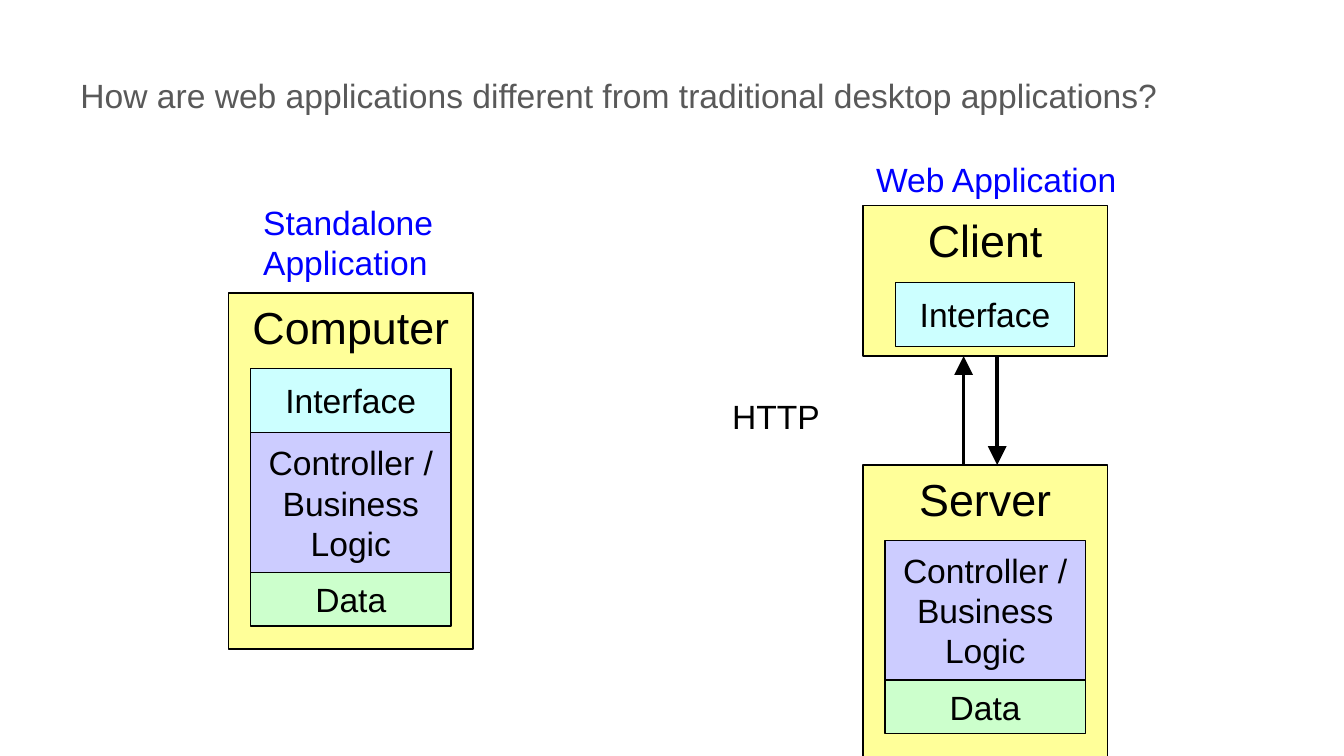
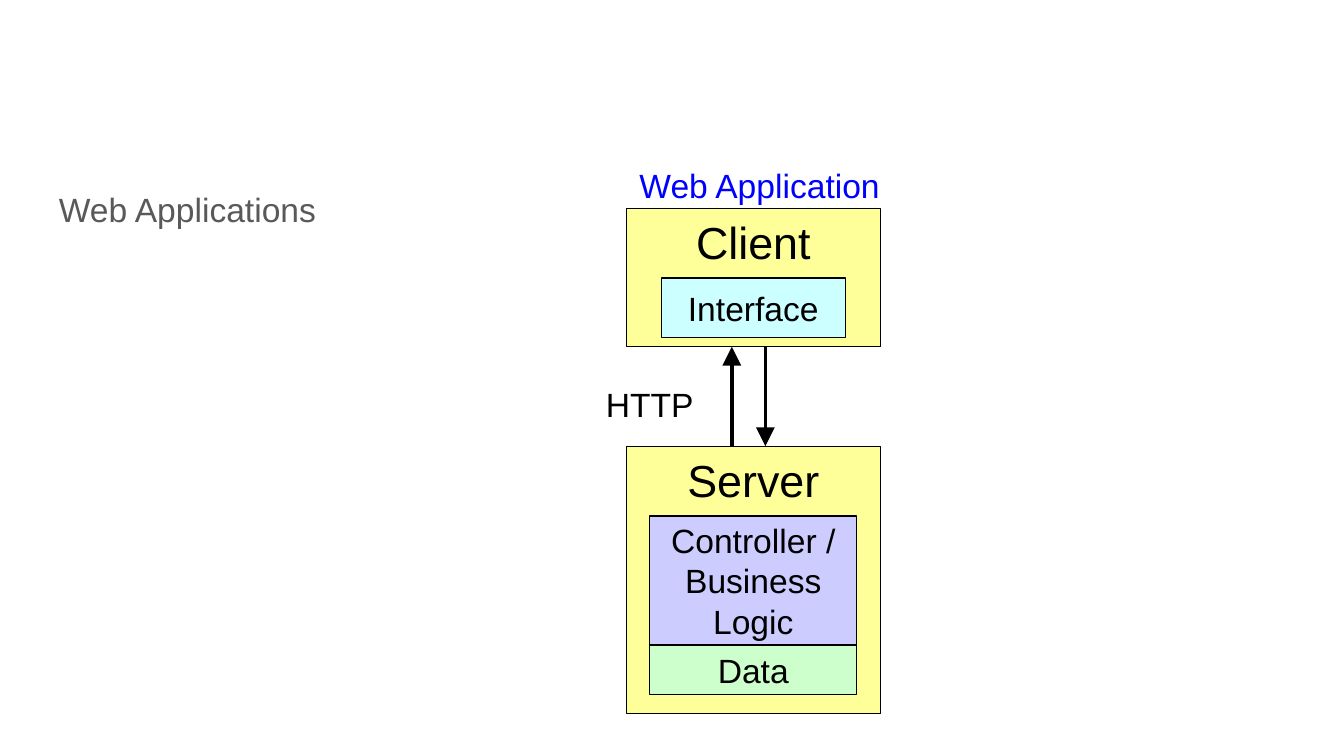
from dataclasses import dataclass

from lxml import etree
from pptx import Presentation
from pptx.dml.color import RGBColor
from pptx.enum import shapes, text
from pptx.oxml import ns
from pptx.slide import Slide
from pptx.text.text import TextFrame
from pptx.util import Inches, Pt

BLACK = RGBColor(0x00, 0x00, 0x00)
BLUE = RGBColor(0x00, 0x00, 0xFF)
GREY = RGBColor(0x59, 0x59, 0x59)
YELLOW = RGBColor(0xFF, 0xFF, 0x99)
CYAN = RGBColor(0xCC, 0xFF, 0xFF)
VIOLET = RGBColor(0xCC, 0xCC, 0xFF)
GREEN = RGBColor(0xCC, 0xFF, 0xCC)
FONT = "Arial"
REQUEST_OFFSET = -0.16
RESPONSE_OFFSET = 0.09


@dataclass(frozen=True)
class Box:
    left: float
    top: float
    width: float
    height: float

    @property
    def center(self) -> float:
        return self.left + self.width / 2

    @property
    def bottom(self) -> float:
        return self.top + self.height

    def lengths(self) -> list[int]:
        return [Inches(n) for n in (self.left, self.top, self.width, self.height)]


@dataclass(frozen=True)
class Layer:
    label: str
    fill: RGBColor
    height: float


@dataclass(frozen=True)
class Machine:
    title: str
    box: Box
    title_height: float
    layer_width: float
    layers: tuple[Layer, ...]


@dataclass(frozen=True)
class Label:
    wording: str
    box: Box
    color: RGBColor = BLACK
    inset: float = 0.05
    anchor: text.MSO_ANCHOR = text.MSO_ANCHOR.TOP
    line_spacing: float = 1.0


@dataclass(frozen=True)
class WebApplication:
    caption: Label
    protocol: Label
    client: Machine
    server: Machine


def interface(height: float) -> Layer:
    return Layer("Interface", CYAN, height)


def logic(height: float) -> Layer:
    return Layer("Controller / Business Logic", VIOLET, height)


def data(height: float) -> Layer:
    return Layer("Data", GREEN, height)


def write(frame: TextFrame, wording: str, size: int, color: RGBColor,
          align: text.PP_ALIGN, anchor: text.MSO_ANCHOR,
          inset: float = 0.05, line_spacing: float = 1.0) -> None:
    frame.word_wrap = True
    frame.vertical_anchor = anchor
    frame.margin_left = frame.margin_right = Inches(0.1)
    frame.margin_top = frame.margin_bottom = Inches(inset)
    frame.text = wording
    for paragraph in frame.paragraphs:
        paragraph.alignment = align
        paragraph.line_spacing = line_spacing
        paragraph.font.name = FONT
        paragraph.font.size = Pt(size)
        paragraph.font.color.rgb = color


def draw_label(slide: Slide, label: Label) -> None:
    frame = slide.shapes.add_textbox(*label.box.lengths()).text_frame
    write(frame, label.wording, 18, label.color, text.PP_ALIGN.LEFT,
          label.anchor, label.inset, label.line_spacing)


def draw_block(slide: Slide, box: Box, wording: str, fill: RGBColor,
               size: int, anchor: text.MSO_ANCHOR) -> None:
    block = slide.shapes.add_shape(shapes.MSO_SHAPE.RECTANGLE, *box.lengths())
    block.shadow.inherit = False
    block.fill.solid()
    block.fill.fore_color.rgb = fill
    block.line.color.rgb = BLACK
    block.line.width = Pt(0.75)
    write(block.text_frame, wording, size, BLACK, text.PP_ALIGN.CENTER, anchor)


def draw_machine(slide: Slide, machine: Machine) -> None:
    draw_block(slide, machine.box, machine.title, YELLOW, 24, text.MSO_ANCHOR.TOP)
    left = machine.box.center - machine.layer_width / 2
    top = machine.box.top + machine.title_height
    for layer in machine.layers:
        box = Box(left, top, machine.layer_width, layer.height)
        draw_block(slide, box, layer.label, layer.fill, 18, text.MSO_ANCHOR.MIDDLE)
        top += layer.height


def draw_arrow(slide: Slide, x: float, start: float, end: float) -> None:
    arrow = slide.shapes.add_connector(
        shapes.MSO_CONNECTOR.STRAIGHT, Inches(x), Inches(start), Inches(x), Inches(end))
    arrow.line.color.rgb = BLACK
    arrow.line.width = Pt(2)
    properties = arrow._element.spPr
    etree.SubElement(properties.find(ns.qn("a:ln")), ns.qn("a:tailEnd"),
                     type="triangle", w="lg", len="lg")
    etree.SubElement(properties, ns.qn("a:effectLst"))


def draw_web_application(slide: Slide, web: WebApplication) -> None:
    draw_machine(slide, web.server)
    draw_machine(slide, web.client)
    client, server = web.client.box, web.server.box
    draw_arrow(slide, client.center + REQUEST_OFFSET, server.top, client.bottom)
    draw_arrow(slide, client.center + RESPONSE_OFFSET, client.bottom, server.top)
    draw_label(slide, web.protocol)
    draw_label(slide, web.caption)


COMPARISON_TITLE = Label(
    "How are web applications different from traditional desktop applications?",
    Box(0.5, 0.46, 9.75, 0.5), GREY, 0.1, text.MSO_ANCHOR.MIDDLE)
STANDALONE_CAPTION = Label("Standalone\nApplication", Box(1.86, 1.45, 1.53, 0.71), BLUE)
COMPUTER = Machine("Computer", Box(1.7, 2.18, 1.82, 2.65), 0.56, 1.49,
                   (interface(0.48), logic(1.04), data(0.4)))
COMPARED_WEB = WebApplication(
    Label("Web Application", Box(6.42, 1.13, 2.16, 0.4), BLUE),
    Label("HTTP", Box(5.35, 2.9, 1.67, 0.4)),
    Machine("Client", Box(6.42, 1.53, 1.82, 1.12), 0.57, 1.33, (interface(0.48),)),
    Machine("Server", Box(6.42, 3.46, 1.82, 2.17), 0.56, 1.49, (logic(1.04), data(0.4))))

WEB_TITLE = Label("Web Applications", Box(0.34, 1.26, 9.32, 3.74), GREY, 0.1,
                  line_spacing=1.15)
WEB = WebApplication(
    Label("Web Application", Box(4.66, 1.18, 2.23, 0.4), BLUE),
    Label("HTTP", Box(4.41, 2.81, 0.88, 0.4)),
    Machine("Client", Box(4.66, 1.55, 1.89, 1.03), 0.52, 1.37, (interface(0.44),)),
    Machine("Server", Box(4.66, 3.32, 1.89, 1.99), 0.52, 1.54, (logic(0.96), data(0.37))))


def main() -> None:
    deck = Presentation()
    deck.slide_width = Inches(10)
    deck.slide_height = Inches(10 * 9 / 16)
    blank = deck.slide_layouts[6]

    comparison = deck.slides.add_slide(blank)
    draw_label(comparison, COMPARISON_TITLE)
    draw_label(comparison, STANDALONE_CAPTION)
    draw_machine(comparison, COMPUTER)
    draw_web_application(comparison, COMPARED_WEB)

    overview = deck.slides.add_slide(blank)
    draw_label(overview, WEB_TITLE)
    draw_web_application(overview, WEB)

    deck.save("out.pptx")


if __name__ == "__main__":
    main()
